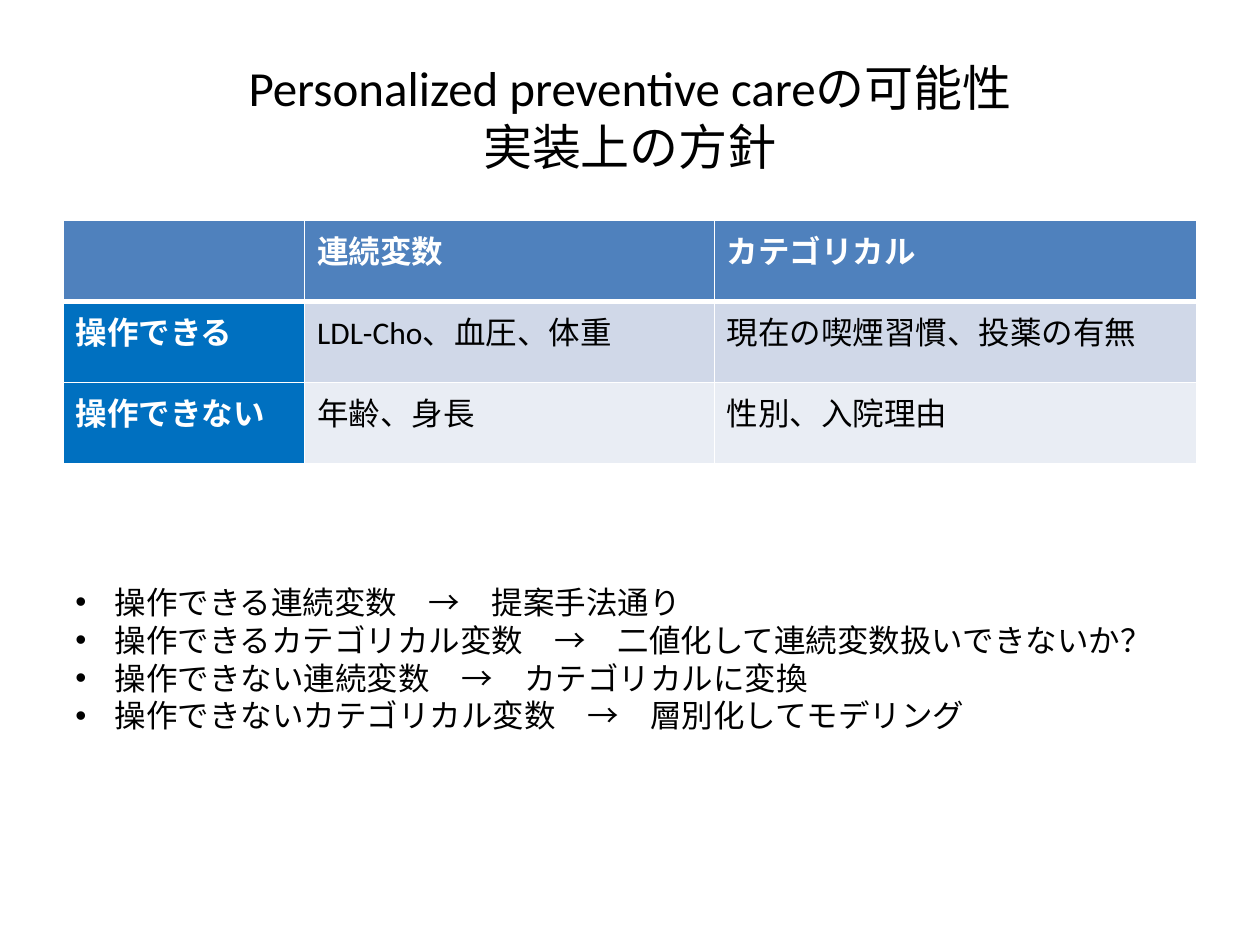
from typing import NamedTuple

from lxml import etree
from pptx import Presentation
from pptx.dml.color import RGBColor
from pptx.enum.text import MSO_ANCHOR, PP_ALIGN
from pptx.oxml.ns import qn
from pptx.util import Cm, Pt

WHITE = RGBColor(0xFF, 0xFF, 0xFF)
BLACK = RGBColor(0x00, 0x00, 0x00)
HEADER_BLUE = RGBColor(0x4F, 0x81, 0xBD)
LABEL_BLUE = RGBColor(0x00, 0x70, 0xC0)
BAND_DARK = RGBColor(0xD0, 0xD8, 0xE8)
BAND_LIGHT = RGBColor(0xE9, 0xED, 0xF4)
CENTER = PP_ALIGN.CENTER
MIDDLE = MSO_ANCHOR.MIDDLE
FONT = "Calibri"
BODY_SIZE = 18
LEFT, WIDTH = Cm(1.27), Cm(22.86)
COLUMN_WIDTHS = (Cm(4.87), Cm(8.26), Cm(9.73))
ROW_HEIGHT = Cm(1.63)
BULLET_INDENT = Cm(0.79)


class TableRow(NamedTuple):
    label: str
    values: tuple[str, str]
    label_fill: RGBColor
    value_fill: RGBColor
    value_color: RGBColor
    bold_values: bool
    bottom_border: float


TITLE_LINES = ("Personalized preventive careの可能性", "実装上の方針")
TABLE_ROWS = (
    TableRow("", ("連続変数", "カテゴリカル"),
             HEADER_BLUE, HEADER_BLUE, WHITE, True, 3),
    TableRow("操作できる", ("LDL-Cho、血圧、体重", "現在の喫煙習慣、投薬の有無"),
             LABEL_BLUE, BAND_DARK, BLACK, False, 1),
    TableRow("操作できない", ("年齢、身長", "性別、入院理由"),
             LABEL_BLUE, BAND_LIGHT, BLACK, False, 1),
)
POLICIES = (
    "操作できる連続変数　→　提案手法通り",
    "操作できるカテゴリカル変数　→　二値化して連続変数扱いできないか？",
    "操作できない連続変数　→　カテゴリカルに変換",
    "操作できないカテゴリカル変数　→　層別化してモデリング",
)


def add_run(paragraph, text: str, size: float, color: RGBColor, bold: bool = False) -> None:
    run = paragraph.add_run()
    run.text = text
    run.font.name = FONT
    run.font.size = Pt(size)
    run.font.bold = bold
    run.font.color.rgb = color


def add_text_frame(slide, top: int, height: int):
    frame = slide.shapes.add_textbox(LEFT, top, WIDTH, height).text_frame
    frame.word_wrap = True
    return frame


def add_title(slide) -> None:
    frame = add_text_frame(slide, Cm(0.76), Cm(3.18))
    frame.vertical_anchor = MIDDLE
    paragraph = frame.paragraphs[0]
    paragraph.alignment = CENTER
    for index, line in enumerate(TITLE_LINES):
        if index:
            paragraph.add_line_break()
        add_run(paragraph, line, 28, BLACK)


def set_borders(cell, widths: dict[str, float]) -> None:
    """Draw white borders; call before the fill, which must follow them in the XML."""
    properties = cell._tc.get_or_add_tcPr()
    for side, width in widths.items():
        line = etree.SubElement(properties, qn(f"a:ln{side}"), w=str(Pt(width)))
        fill = etree.SubElement(line, qn("a:solidFill"))
        etree.SubElement(fill, qn("a:srgbClr"), val=str(WHITE))


def add_variable_table(slide) -> None:
    table = slide.shapes.add_table(
        len(TABLE_ROWS), len(COLUMN_WIDTHS), LEFT, Cm(4.45),
        WIDTH, ROW_HEIGHT * len(TABLE_ROWS)).table
    for column, width in zip(table.columns, COLUMN_WIDTHS):
        column.width = width
    top_border = 1
    for row_index, row in enumerate(TABLE_ROWS):
        table.rows[row_index].height = ROW_HEIGHT
        for column_index, text in enumerate((row.label, *row.values)):
            is_label = column_index == 0
            cell = table.cell(row_index, column_index)
            set_borders(cell, {"L": 1, "R": 1, "T": top_border, "B": row.bottom_border})
            cell.fill.solid()
            cell.fill.fore_color.rgb = row.label_fill if is_label else row.value_fill
            if text:
                add_run(cell.text_frame.paragraphs[0], text, BODY_SIZE,
                        WHITE if is_label else row.value_color,
                        is_label or row.bold_values)
        top_border = row.bottom_border


def add_policies(slide) -> None:
    frame = add_text_frame(slide, Cm(11.63), Cm(3.33))
    for index, policy in enumerate(POLICIES):
        paragraph = frame.add_paragraph() if index else frame.paragraphs[0]
        properties = paragraph._p.get_or_add_pPr()
        properties.set("marL", str(BULLET_INDENT))
        properties.set("indent", str(-BULLET_INDENT))
        etree.SubElement(properties, qn("a:buFont"), typeface="Arial")
        etree.SubElement(properties, qn("a:buChar"), char="•")
        add_run(paragraph, policy, BODY_SIZE, BLACK)


def main() -> None:
    presentation = Presentation()
    presentation.slide_width = Cm(25.4)
    presentation.slide_height = Cm(19.05)
    slide = presentation.slides.add_slide(presentation.slide_layouts[6])
    add_title(slide)
    add_variable_table(slide)
    add_policies(slide)
    presentation.save("out.pptx")


if __name__ == "__main__":
    main()
